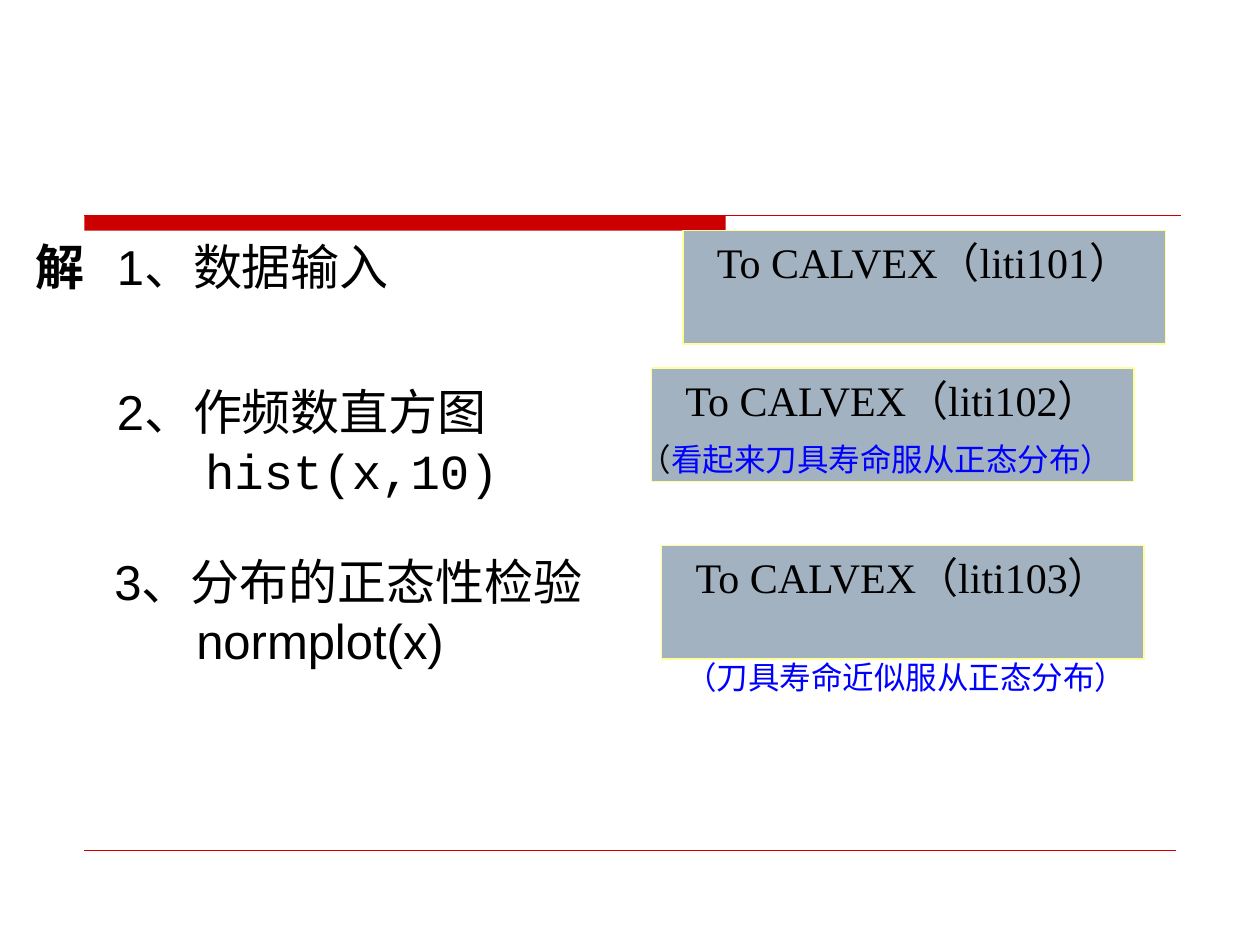
from lxml.etree import SubElement
from pptx import Presentation
from pptx.dml.color import RGBColor
from pptx.enum.shapes import MSO_CONNECTOR, MSO_SHAPE
from pptx.enum.text import MSO_ANCHOR, PP_ALIGN
from pptx.oxml.ns import qn
from pptx.util import Inches, Pt

RED = RGBColor(0xCC, 0x00, 0x00)
GREY = RGBColor(0xA3, 0xB2, 0xC1)
CREAM = RGBColor(0xFF, 0xFF, 0x99)
BLACK = RGBColor(0x00, 0x00, 0x00)
BLUE = RGBColor(0x00, 0x00, 0xFF)


class Deck:
    """Hold the slide and draw its rules, steps, buttons and notes."""

    def __init__(self):
        self.prs = Presentation()
        self.prs.slide_width, self.prs.slide_height = Inches(10), Inches(7.5)
        self.slide = self.prs.slides.add_slide(self.prs.slide_layouts[6])

    def style(self, run, font, size, color=BLACK, bold=False):
        run.font.name, run.font.size = font, Pt(size)
        run.font.color.rgb, run.font.bold = color, bold

    def block(self, x, y, w, h, fill, line=None):
        box = self.slide.shapes.add_shape(
            MSO_SHAPE.RECTANGLE, Inches(x), Inches(y), Inches(w), Inches(h))
        box.shadow.inherit = False
        box.fill.solid()
        box.fill.fore_color.rgb = fill
        if line is None:
            box.line.fill.background()
        else:
            box.line.color.rgb, box.line.width = line, Pt(0.75)
        return box

    def rule(self, y, right, width):
        line = self.slide.shapes.add_connector(
            MSO_CONNECTOR.STRAIGHT, Inches(0.67), Inches(y), Inches(right), Inches(y))
        line.line.color.rgb, line.line.width = RED, Pt(width)
        SubElement(line._element.spPr, qn("a:effectLst"))

    def button(self, x, y, text):
        frame = self.block(x, y, 3.83, 0.9, GREY, CREAM).text_frame
        frame.text, frame.word_wrap = text, True
        frame.vertical_anchor = MSO_ANCHOR.TOP
        para = frame.paragraphs[0]
        para.alignment = PP_ALIGN.CENTER
        self.style(para.runs[0], "Times New Roman", 24)

    def label(self, x, y, w, h, text):
        box = self.slide.shapes.add_textbox(Inches(x), Inches(y), Inches(w), Inches(h))
        box.text_frame.text, box.text_frame.word_wrap = text, True
        return box.text_frame

    def step(self, x, y, w, text, code=None, font="Arial", indent=0):
        frame = self.label(x, y, w, 1.04 if code else 0.57, text)
        self.style(frame.paragraphs[0].runs[0], "Arial", 28)
        if code:
            para = frame.add_paragraph()
            para.text = code
            para._p.get_or_add_pPr().set("marL", str(Inches(indent)))
            self.style(para.runs[0], font, 28)
        return frame

    def lead(self, x, y, w, head, text, stop):
        para = self.step(x, y, w, head + "\t").paragraphs[0]
        tabs = SubElement(para._p.get_or_add_pPr(), qn("a:tabLst"))
        SubElement(tabs, qn("a:tab"), pos=str(Inches(stop)), algn="l")
        para.runs[0].font.bold = True
        run = para.add_run()
        run.text = text
        self.style(run, "Arial", 28)

    def note(self, x, y, w, mark, text, color):
        para = self.label(x, y, w, 0.4, mark).paragraphs[0]
        para.add_run().text = text
        for run, tint in zip(para.runs, (color, BLUE)):
            self.style(run, "DejaVu Sans", 18, tint)


def main():
    deck = Deck()
    deck.block(0.67, 1.71, 5.09, 0.12, RED)
    deck.rule(1.71, 9.37, 0.75)
    deck.rule(6.75, 9.33, 0.25)
    deck.lead(0.18, 1.83, 3.2, "解", "1、数据输入", 0.65)
    deck.button(5.42, 1.83, "To CALVEX（liti101）")
    deck.step(0.83, 2.98, 3.4, "2、作频数直方图", "hist(x,10)", "Courier New", 0.7)
    deck.step(0.81, 4.33, 4.1, "3、分布的正态性检验", "normplot(x)", indent=0.65)
    deck.button(5.17, 2.92, "To CALVEX（liti102）")
    deck.button(5.25, 4.33, "To CALVEX（liti103）")
    deck.note(4.98, 3.44, 4.52, "（", "看起来刀具寿命服从正态分布）", BLACK)
    deck.note(5.34, 5.17, 3.8, "（", "刀具寿命近似服从正态分布）", BLUE)
    deck.prs.save("out.pptx")


if __name__ == "__main__":
    main()
